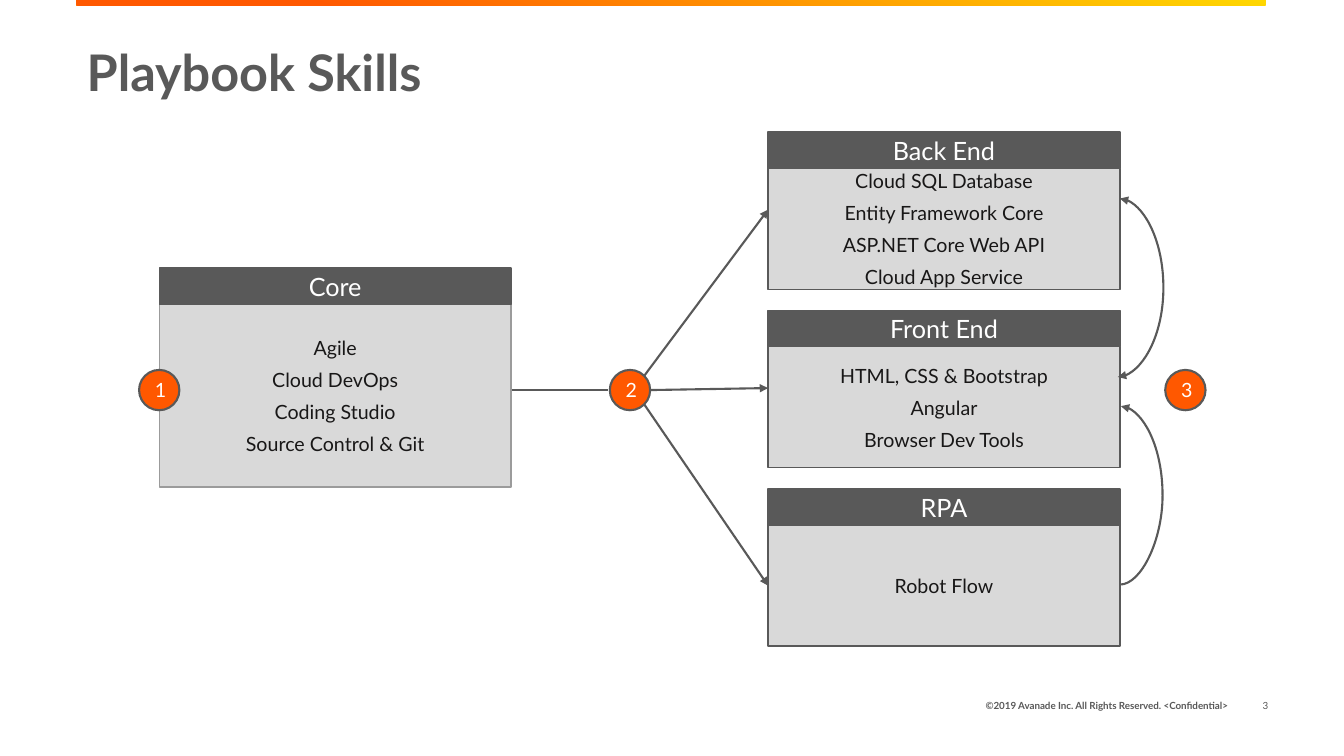
from dataclasses import dataclass

from lxml import etree
from pptx import Presentation
from pptx.dml.color import RGBColor
from pptx.enum.shapes import MSO_CONNECTOR as Link, MSO_SHAPE as Preset
from pptx.enum.text import MSO_ANCHOR as Anchor, PP_ALIGN as Align
from pptx.oxml.ns import qn
from pptx.util import Inches, Pt


@dataclass(frozen=True)
class Theme:
    font: str = "Lato"
    dark: str = "595959"
    panel: str = "D9D9D9"
    soft_edge: str = "9B9B9B"
    ink: str = "181717"
    white: str = "FFFFFF"
    orange: str = "FF5800"
    yellow: str = "FFD700"
    title_size: int = 36
    header_size: int = 18
    body_size: int = 14
    footer_size: int = 7
    thin: float = 1
    thick: float = 1.5


THEME = Theme()
# The page is a grid of 0.1 inch cells; all positions are columns and rows.
COLUMNS, ROWS = 133.33, 75
CARD_WIDTH, HEADER_ROWS, BODY_ROWS = 34.9, 3.6, 12
SKILL_LEFT, SKILL_TOP, SKILL_STEP = 76.2, 13.1, 17.7
SKILL_RIGHT = SKILL_LEFT + CARD_WIDTH
CORE_LEFT, CORE_TOP, CORE_BODY_ROWS = 15.8, 26.6, 18.1
BADGE, AXIS = 4, 38.7
HUB = 62.5
SKILLS = [
    ("Back End", ["Cloud SQL Database", "Entity Framework Core",
                  "ASP.NET Core Web API", "Cloud App Service"]),
    ("Front End", ["HTML, CSS & Bootstrap", "Angular", "Browser Dev Tools"]),
    ("RPA", ["Robot Flow"]),
]
CORE_SKILLS = ["Agile", "Cloud DevOps", "Coding Studio", "Source Control & Git"]


def cells(*counts):
    return [Inches(count / 10) for count in counts]


def color(code):
    return RGBColor.from_string(code)


def write(frame, lines, size, ink, bold=False, align=Align.CENTER,
          anchor=Anchor.MIDDLE, gap=0):
    frame.text = "\n".join(lines)
    frame.word_wrap = True
    frame.vertical_anchor = anchor
    for index, para in enumerate(frame.paragraphs):
        para.alignment = align
        para.space_before = Pt(gap if index else 0)
        for span in para.runs:
            span.font.name = THEME.font
            span.font.size = Pt(size)
            span.font.bold = bold
            span.font.color.rgb = color(ink)


def add_block(page, preset, area, fill, edge, weight):
    block = page.shapes.add_shape(preset, *cells(*area))
    block.shadow.inherit = False
    block.fill.solid()
    block.fill.fore_color.rgb = color(fill)
    block.line.color.rgb = color(edge)
    block.line.width = Pt(weight)
    return block


def add_card(page, left, top, heading, skills, body_rows=BODY_ROWS, edge=THEME.dark):
    """Add a header over a list of skills and return the list's box."""
    body = add_block(page, Preset.RECTANGLE,
                     (left, top + HEADER_ROWS, CARD_WIDTH, body_rows),
                     THEME.panel, edge, THEME.thin)
    write(body.text_frame, skills, THEME.body_size, THEME.ink, gap=6)
    header = add_block(page, Preset.RECTANGLE, (left, top, CARD_WIDTH, HEADER_ROWS),
                       THEME.dark, THEME.dark, THEME.thin)
    write(header.text_frame, [heading], THEME.header_size, THEME.white)
    return body


def add_badge(page, number, center, middle):
    badge = add_block(page, Preset.OVAL,
                      (center - BADGE / 2, middle - BADGE / 2, BADGE, BADGE),
                      THEME.orange, THEME.dark, THEME.thick)
    write(badge.text_frame, [str(number)], THEME.body_size, THEME.white)


def add_link(page, start, end, arrows=(), kind=Link.STRAIGHT):
    """Add a line; arrows may name headEnd (at start) and tailEnd (at end)."""
    link = page.shapes.add_connector(kind, *cells(*start, *end))
    link.line.color.rgb = color(THEME.dark)
    link.line.width = Pt(THEME.thick)
    properties = link.element.spPr
    for arrow in arrows:
        etree.SubElement(properties.find(qn("a:ln")), qn("a:" + arrow), type="triangle")
    etree.SubElement(properties, qn("a:effectLst"))
    return link


def add_curve(page, start, end, bulge, arrows):
    """Add a curved line that swings out to the column given by bulge."""
    curve = add_link(page, start, end, arrows, Link.CURVE)
    share = (bulge - start[0]) / (end[0] - start[0])
    geometry = curve.element.spPr.find(qn("a:prstGeom"))
    etree.SubElement(geometry.find(qn("a:avLst")), qn("a:gd"),
                     name="adj1", fmla=f"val {round(share * 100000)}")


def add_top_bar(page):
    bar = page.shapes.add_shape(Preset.RECTANGLE, *cells(7.6, 0, 118, 0.5))
    bar.shadow.inherit = False
    bar.line.fill.background()
    bar.fill.gradient()
    bar.fill.gradient_angle = 250
    stops = ((0, THEME.yellow), (0.8, THEME.orange))
    for stop, (position, code) in zip(bar.fill.gradient_stops, stops):
        stop.position = position
        stop.color.rgb = color(code)


def add_footer(page, area, text, bold=False):
    box = page.shapes.add_textbox(*cells(*area))
    write(box.text_frame, [text], THEME.footer_size, THEME.dark, bold, Align.RIGHT)


def set_title(page, text):
    title = page.shapes.title
    title.left, title.top, title.width, title.height = cells(7.6, 4.3, 117.9, 10.9)
    write(title.text_frame, [text], THEME.title_size, THEME.dark, True,
          Align.LEFT, Anchor.TOP)
    title.text_frame.paragraphs[0].line_spacing = 0.9


def main():
    deck = Presentation()
    deck.slide_width, deck.slide_height = cells(COLUMNS, ROWS)
    page = deck.slides.add_slide(deck.slide_layouts[5])
    add_top_bar(page)
    set_title(page, "Playbook Skills")
    add_footer(page, (77.8, 68, 45, 4),
               "©2019 Avanade Inc. All Rights Reserved. <Confidential>", bold=True)
    add_footer(page, (122, 68, 4.8, 4), "3")

    add_link(page, (CORE_LEFT + CARD_WIDTH, AXIS), (60.3, AXIS))
    add_card(page, CORE_LEFT, CORE_TOP, "Core", CORE_SKILLS,
             CORE_BODY_ROWS, THEME.soft_edge)
    bodies = [add_card(page, SKILL_LEFT, SKILL_TOP + row * SKILL_STEP, heading, skills)
              for row, (heading, skills) in enumerate(SKILLS)]

    tail, both = ["tailEnd"], ["headEnd", "tailEnd"]
    add_link(page, (63.9, 37.3), (SKILL_LEFT, 20.8), tail)
    add_link(page, (64.5, AXIS), (SKILL_LEFT, 38.5), tail)
    to_rpa = add_link(page, (63.9, 40.1), (SKILL_LEFT, 58), tail)
    to_rpa.end_connect(bodies[-1], 1)
    add_curve(page, (SKILL_RIGHT, 19.7), (SKILL_RIGHT - 0.2, 37.4), 115.4, both)
    add_curve(page, (SKILL_RIGHT, 58), (SKILL_RIGHT + 0.1, 40.3), 115.4, tail)

    for number, center in enumerate((CORE_LEFT, HUB, 117.6), start=1):
        add_badge(page, number, center, AXIS)
    deck.save("out.pptx")


if __name__ == "__main__":
    main()
